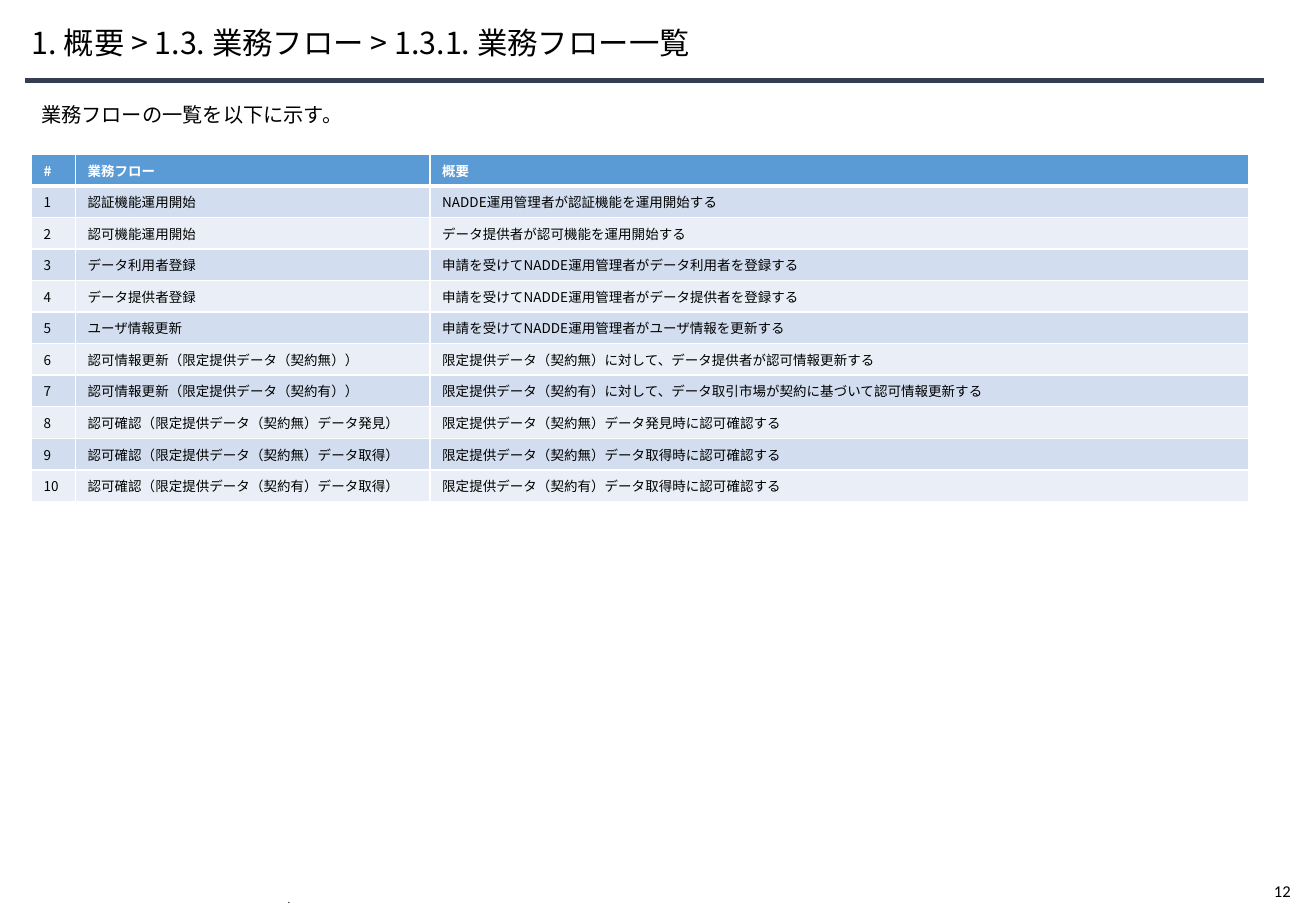
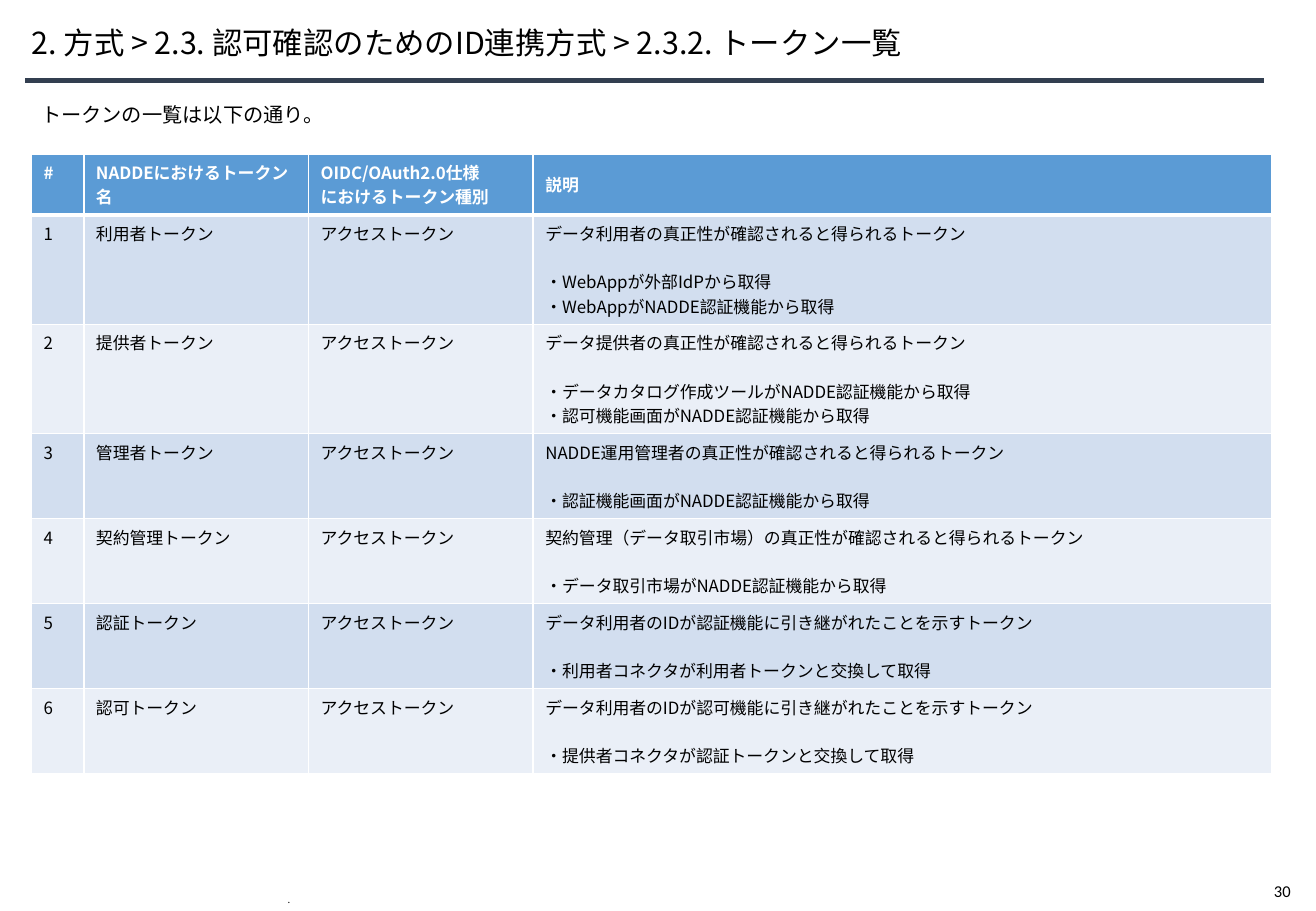
from lxml import etree
from pptx import Presentation
from pptx.dml.color import RGBColor
from pptx.enum.shapes import MSO_CONNECTOR
from pptx.enum.text import MSO_ANCHOR, MSO_AUTO_SIZE, PP_ALIGN
from pptx.oxml.ns import qn
from pptx.util import Pt

STRAIGHT = MSO_CONNECTOR.STRAIGHT
TOP, MIDDLE, BOTTOM = MSO_ANCHOR.TOP, MSO_ANCHOR.MIDDLE, MSO_ANCHOR.BOTTOM
NO_FIT = MSO_AUTO_SIZE.NONE
LEFT = PP_ALIGN.LEFT

BLACK = RGBColor(0x00, 0x00, 0x00)
WHITE = RGBColor(0xFF, 0xFF, 0xFF)
NAVY = RGBColor(0x33, 0x3F, 0x50)
HEADER_BLUE = RGBColor(0x5B, 0x9B, 0xD5)
BANDS = (RGBColor(0xD2, 0xDE, 0xEF), RGBColor(0xEA, 0xEF, 0xF7))

FONT = "Noto Sans CJK JP"
NUMBER_FONT = "Calibri"
LINE_FACTOR = 1.44  # line height relative to the text size
CELL_PADDING = 7.2  # top and bottom cell margins together
GAP = "gap"  # marks one line of space before the next paragraph


def write_text(frame, text, *, size, font=FONT, color=BLACK, bold=False,
               anchor=TOP, spacing=None):
    """Write the lines of text as paragraphs in one format."""
    frame.vertical_anchor = anchor
    lines = [text] if isinstance(text, str) else text
    para, gap = None, 0
    for line in lines:
        if line == GAP:
            gap = size * LINE_FACTOR
            continue
        para = frame.add_paragraph() if para else frame.paragraphs[0]
        para.alignment = LEFT
        if gap:
            para.space_before = Pt(gap)
            gap = 0
        if spacing:
            para.line_spacing = spacing
        span = para.add_run()
        span.text = line
        span.font.size = Pt(size)
        span.font.name = font
        span.font.bold = bold
        span.font.color.rgb = color
        east_asian = etree.SubElement(span.font._element, qn("a:ea"))
        east_asian.set("typeface", font)


def draw_borders(cell, **widths):
    """Draw white cell borders; widths are points keyed by L, R, T, B."""
    properties = cell._tc.get_or_add_tcPr()
    for side, width in widths.items():
        line = etree.SubElement(properties, qn(f"a:ln{side}"), w=str(Pt(width)))
        fill = etree.SubElement(line, qn("a:solidFill"))
        etree.SubElement(fill, qn("a:srgbClr"), val=str(WHITE))


class Pages:
    """The deck's style and its current page."""

    def __init__(self):
        self.deck = Presentation()
        self.deck.slide_width, self.deck.slide_height = Pt(780), Pt(540)
        self.page = None

    def start(self, title, lead, number):
        """Add a page with its title, rule, lead sentence and footer."""
        self.page = self.deck.slides.add_slide(self.deck.slide_layouts[5])
        self.title(title)
        self.rule(15, 749.5, 47.5)
        self.text(lead, 17.3, 57, 715, 28, size=12)
        self.text(str(number), 748, 518.4, 26, 19.4, wrap=False,
                  size=9.8, font=NUMBER_FONT)
        self.text(".", 163.4, 530, 453.6, 10, size=5.7, anchor=BOTTOM,
                  spacing=Pt(1.6))

    def title(self, text):
        box = self.page.shapes.title
        box.left, box.top, box.width, box.height = map(Pt, (18.7, 9.4, 714, 33.8))
        frame = box.text_frame
        frame.margin_left = 0
        frame.word_wrap = True
        frame.auto_size = NO_FIT
        write_text(frame, text, size=18, anchor=MIDDLE, spacing=0.9)

    def rule(self, left, right, top):
        line = self.page.shapes.add_connector(
            STRAIGHT, Pt(left), Pt(top), Pt(right), Pt(top))
        line.line.color.rgb = NAVY
        line.line.width = Pt(3)
        etree.SubElement(line._element.spPr, qn("a:effectLst"))

    def text(self, text, left, top, width, height, wrap=True, **style):
        box = self.page.shapes.add_textbox(*map(Pt, (left, top, width, height)))
        box.text_frame.word_wrap = wrap
        write_text(box.text_frame, text, **style)

    def table(self, widths, rows, size, header_lines=1):
        """Add a banded table whose row heights follow their line counts."""
        counts = [header_lines] + [
            max(1 if isinstance(text, str) else len(text) for text in row)
            for row in rows[1:]]
        heights = [count * size * LINE_FACTOR + CELL_PADDING for count in counts]
        table = self.page.shapes.add_table(
            len(rows), len(widths), Pt(18.7), Pt(91.4),
            Pt(sum(widths)), Pt(sum(heights))).table
        for column, width in zip(table.columns, widths):
            column.width = Pt(width)
        for r, (row, height) in enumerate(zip(rows, heights)):
            table.rows[r].height = Pt(height)
            header = r == 0
            for c, text in enumerate(row):
                cell = table.cell(r, c)
                draw_borders(cell, L=1, R=1, T=3 if r == 1 else 1,
                             B=3 if header else 1)
                cell.fill.solid()
                cell.fill.fore_color.rgb = HEADER_BLUE if header else BANDS[(r - 1) % 2]
                write_text(cell.text_frame, text, size=size, bold=header,
                           color=WHITE if header else BLACK)
                cell.vertical_anchor = MIDDLE if header and c else TOP


FLOWS = [
    ("認証機能運用開始", "NADDE運用管理者が認証機能を運用開始する"),
    ("認可機能運用開始", "データ提供者が認可機能を運用開始する"),
    ("データ利用者登録", "申請を受けてNADDE運用管理者がデータ利用者を登録する"),
    ("データ提供者登録", "申請を受けてNADDE運用管理者がデータ提供者を登録する"),
    ("ユーザ情報更新", "申請を受けてNADDE運用管理者がユーザ情報を更新する"),
    ("認可情報更新（限定提供データ（契約無））",
     "限定提供データ（契約無）に対して、データ提供者が認可情報更新する"),
    ("認可情報更新（限定提供データ（契約有））",
     "限定提供データ（契約有）に対して、データ取引市場が契約に基づいて認可情報更新する"),
    ("認可確認（限定提供データ（契約無）データ発見）",
     "限定提供データ（契約無）データ発見時に認可確認する"),
    ("認可確認（限定提供データ（契約無）データ取得）",
     "限定提供データ（契約無）データ取得時に認可確認する"),
    ("認可確認（限定提供データ（契約有）データ取得）",
     "限定提供データ（契約有）データ取得時に認可確認する"),
]

# Token name, meaning, ways to obtain it
TOKENS = [
    ("利用者トークン", "データ利用者の真正性が確認されると得られるトークン",
     "・WebAppが外部IdPから取得", "・WebAppがNADDE認証機能から取得"),
    ("提供者トークン", "データ提供者の真正性が確認されると得られるトークン",
     "・データカタログ作成ツールがNADDE認証機能から取得",
     "・認可機能画面がNADDE認証機能から取得"),
    ("管理者トークン", "NADDE運用管理者の真正性が確認されると得られるトークン",
     "・認証機能画面がNADDE認証機能から取得"),
    ("契約管理トークン",
     "契約管理（データ取引市場）の真正性が確認されると得られるトークン",
     "・データ取引市場がNADDE認証機能から取得"),
    ("認証トークン", "データ利用者のIDが認証機能に引き継がれたことを示すトークン",
     "・利用者コネクタが利用者トークンと交換して取得"),
    ("認可トークン", "データ利用者のIDが認可機能に引き継がれたことを示すトークン",
     "・提供者コネクタが認証トークンと交換して取得"),
]


def main():
    pages = Pages()

    # List of business flows
    pages.start("1. 概要 > 1.3. 業務フロー > 1.3.1. 業務フロー一覧",
                "業務フローの一覧を以下に示す。", 12)
    flow_rows = [(str(n), *flow) for n, flow in enumerate(FLOWS, 1)]
    pages.table((26, 210.2, 485.3), [("#", "業務フロー", "概要")] + flow_rows, size=8)

    # List of tokens
    pages.start("2. 方式 > 2.3. 認可確認のためのID連携方式 > 2.3.2. トークン一覧",
                "トークンの一覧は以下の通り。", 30)
    header = ("#", "NADDEにおけるトークン名",
              ("OIDC/OAuth2.0仕様", "におけるトークン種別"), "説明")
    token_rows = [(str(n), name, "アクセストークン", (meaning, GAP, *sources))
                  for n, (name, meaning, *sources) in enumerate(TOKENS, 1)]
    pages.table((31, 133.2, 133.2, 437.8), [header] + token_rows, size=10,
                header_lines=2)

    pages.deck.save("out.pptx")


if __name__ == "__main__":
    main()
